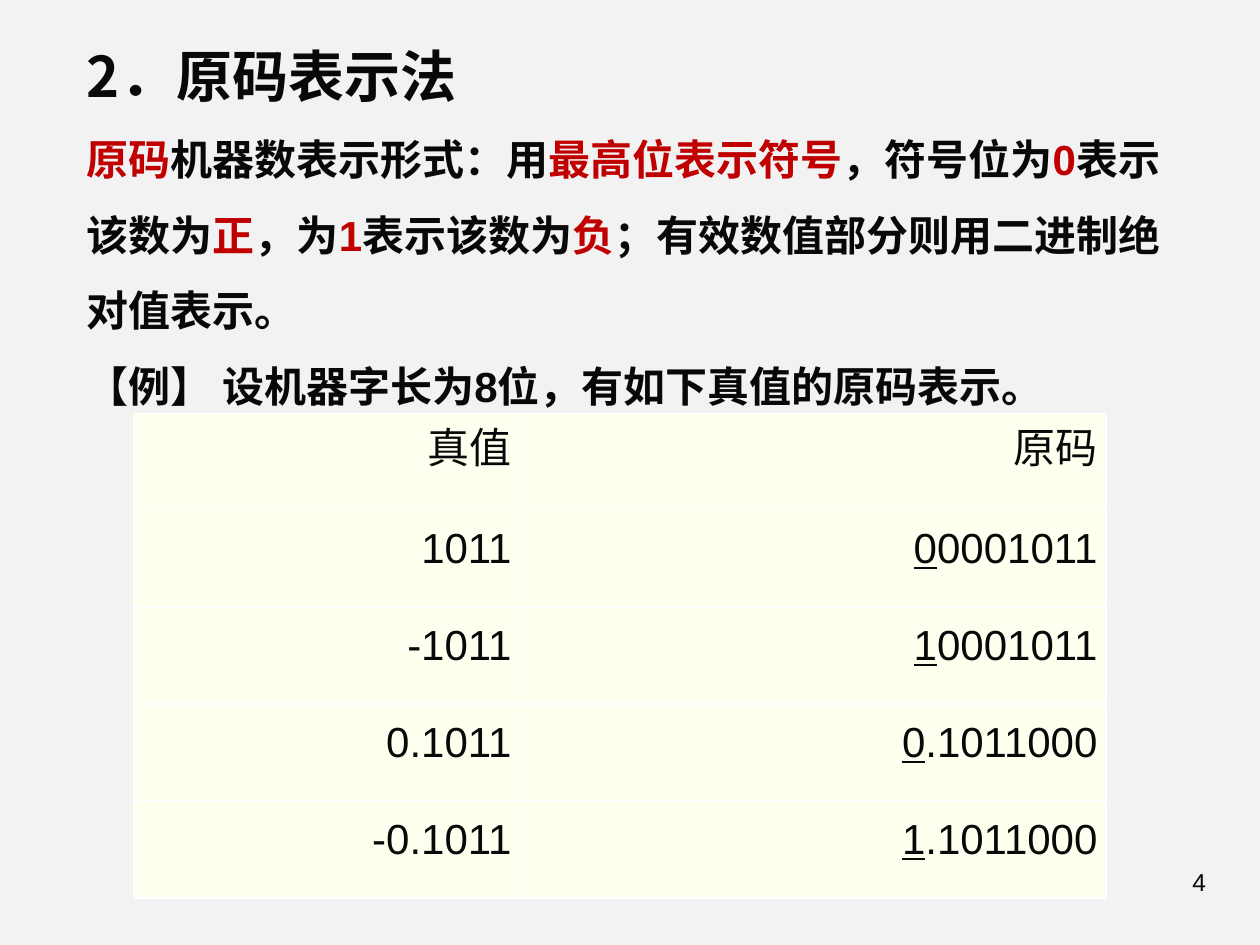
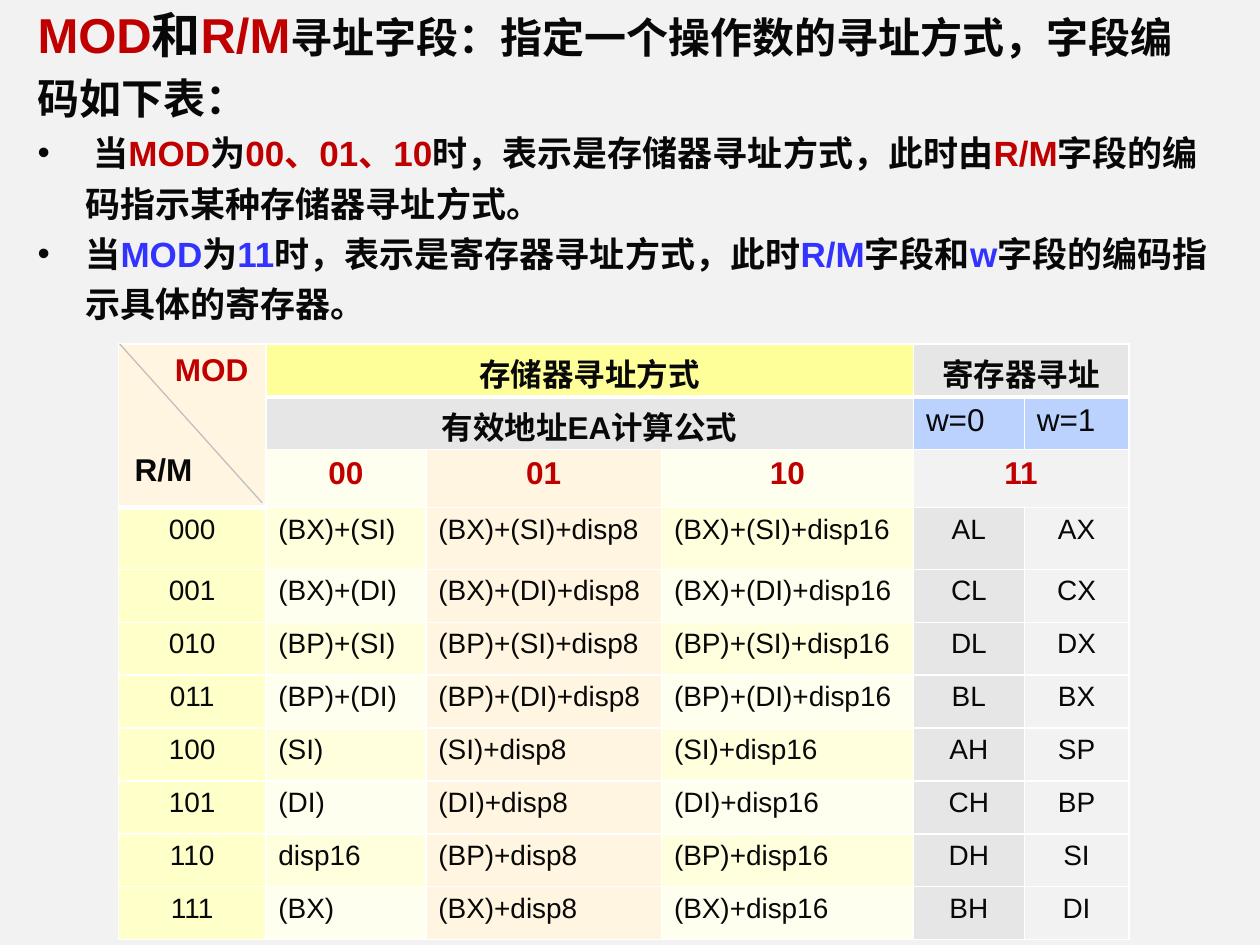
from lxml.etree import SubElement
from pptx import Presentation
from pptx.dml.color import RGBColor
from pptx.enum.shapes import MSO_CONNECTOR
from pptx.enum.text import MSO_ANCHOR, MSO_AUTO_SIZE, PP_ALIGN
from pptx.oxml.ns import qn
from pptx.util import Inches, Pt

LATIN, CHINESE = "Arial", "Noto Sans CJK SC"
INK, RED, BLUE, WHITE = "080808", "C00000", "3333FF", "FFFFFF"
PAGE, GREY, CREAM, IVORY = "F2F2F2", "E6E6E6", "FFF5E0", "FFFFEF"
PALE_YELLOW, ROW_YELLOW, BRIGHT_YELLOW, SKY = "FFFFDE", "FFFFCA", "FFFF99", "BBD2FF"
LEFT, CENTER, RIGHT = PP_ALIGN.LEFT, PP_ALIGN.CENTER, PP_ALIGN.RIGHT


def color(value):
    """Turn a hex string into a colour."""
    return RGBColor.from_string(value)


def add_span(para, text, size=18, ink=INK, bold=False, underline=False, font=LATIN):
    """Append one formatted run to a paragraph."""
    span = para.add_run()
    span.text = text
    span.font.name = font
    span.font.size = Pt(size)
    span.font.bold = bold
    span.font.underline = underline
    span.font.color.rgb = color(ink)
    SubElement(span.font._element, qn("a:ea"), typeface=CHINESE)


def set_indent(para, left, first):
    """Set the left margin and first-line indent in inches."""
    properties = para._p.get_or_add_pPr()
    properties.set("marL", str(Inches(left)))
    properties.set("indent", str(Inches(first)))
    return properties


def add_bullet(para):
    """Give a paragraph a hanging round bullet."""
    properties = set_indent(para, 0.38, -0.38)
    SubElement(properties, qn("a:buFont"), typeface=LATIN)
    SubElement(properties, qn("a:buChar"), char="•")


def write(frame, paragraphs, align=LEFT, spacing=None, bullets=(), **style):
    """Fill a frame with paragraphs made of (text, overrides) spans."""
    for index, spans in enumerate(paragraphs):
        para = frame.paragraphs[0] if index == 0 else frame.add_paragraph()
        para.alignment = align
        if spacing:
            para.line_spacing = spacing
        if index in bullets:
            add_bullet(para)
        for text, overrides in spans:
            add_span(para, text, **{**style, **overrides})


def add_text(page, left, top, width, height, paragraphs, **style):
    """Add a wrapping text box."""
    box = page.shapes.add_textbox(Inches(left), Inches(top), Inches(width), Inches(height))
    box.text_frame.word_wrap = True
    write(box.text_frame, paragraphs, **style)


def set_title(page, left, top, width, height, text, **style):
    """Place and format the title placeholder."""
    title = page.shapes.title
    title.left, title.top = Inches(left), Inches(top)
    title.width, title.height = Inches(width), Inches(height)
    title.text_frame.auto_size = MSO_AUTO_SIZE.NONE
    title.text_frame.vertical_anchor = MSO_ANCHOR.TOP
    write(title.text_frame, [plain(text)], **style)


def plain(text, **overrides):
    """Make a paragraph of one span."""
    return [(text, overrides)]


def marked(text, ink):
    """Colour the parts of a text that stand between bars."""
    parts = enumerate(text.split("|"))
    return [(part, {"ink": ink} if index % 2 else {}) for index, part in parts if part]


def add_grid(page, left, top, widths, heights):
    """Add a table without banding and return it."""
    shape = page.shapes.add_table(
        len(heights), len(widths), Inches(left), Inches(top),
        Inches(sum(widths)), Inches(sum(heights)))
    table = shape.table
    table.first_row = table.horz_banding = False
    for column, width in zip(table.columns, widths):
        column.width = Inches(width)
    for row, height in zip(table.rows, heights):
        row.height = Inches(height)
    return table


def style_cell(cell, fill, bottom=1):
    """Give a cell white borders and a solid fill."""
    properties = cell._tc.get_or_add_tcPr()
    for side, width in (("L", 1), ("R", 1), ("T", 1), ("B", bottom)):
        line = SubElement(properties, qn("a:ln" + side), w=str(Pt(width)))
        solid = SubElement(line, qn("a:solidFill"))
        SubElement(solid, qn("a:srgbClr"), val=WHITE)
    cell.fill.solid()
    cell.fill.fore_color.rgb = color(fill)


def fill_cells(table, row, column, text, fill, rows=1, columns=1, bottom=1, **style):
    """Style a block of cells, merge it and write its text."""
    for r in range(row, row + rows):
        for c in range(column, column + columns):
            style_cell(table.cell(r, c), fill, bottom)
    cell = table.cell(row, column)
    if rows * columns > 1:
        cell.merge(table.cell(row + rows - 1, column + columns - 1))
    if text:
        write(cell.text_frame, [plain(text)], **style)


def add_line(page, start, end, ink, width):
    """Draw a straight line without shadow."""
    line = page.shapes.add_connector(
        MSO_CONNECTOR.STRAIGHT, *(Inches(value) for value in (*start, *end)))
    line.line.color.rgb = color(ink)
    line.line.width = Pt(width)
    SubElement(line._element.spPr, qn("a:effectLst"))


def add_code_table(page):
    """Add the table of true values and their sign-magnitude codes."""
    rows = [
        ("真值", "", "原码"),
        ("1011", "0", "0001011"),
        ("-1011", "1", "0001011"),
        ("0.1011", "0", ".1011000"),
        ("-0.1011", "1", ".1011000"),
    ]
    table = add_grid(page, 1.06, 3.28, [3.07, 4.65], [0.77] * len(rows))
    for row, (value, sign, magnitude) in enumerate(rows):
        code = plain(sign, underline=True) if sign else []
        for column, spans in enumerate((plain(value), code + plain(magnitude))):
            cell = table.cell(row, column)
            style_cell(cell, IVORY)
            cell.margin_left = cell.margin_right = Inches(0.07)
            cell.margin_top = cell.margin_bottom = 0
            cell.vertical_anchor = MSO_ANCHOR.MIDDLE
            write(cell.text_frame, [spans], align=RIGHT, spacing=Pt(15.6), size=24)
            set_indent(cell.text_frame.paragraphs[0], 0, 0.3)


def add_addressing_table(page):
    """Add the table of MOD and R/M encodings."""
    bases = ["(BX)+(SI)", "(BX)+(DI)", "(BP)+(SI)", "(BP)+(DI)", "(SI)", "(DI)", "(BP)", "(BX)"]
    byte_registers = ["AL", "CL", "DL", "BL", "AH", "CH", "DH", "BH"]
    word_registers = ["AX", "CX", "DX", "BX", "SP", "BP", "SI", "DI"]
    table = add_grid(page, 0.94, 2.73, [1.17, 1.27, 1.87, 2, 0.88, 0.83],
                     [0.42, 0.42, 0.46, 0.49] + [0.42] * 7)
    heading = {"align": CENTER, "bold": True}

    fill_cells(table, 0, 0, "", CREAM, rows=3, bottom=3)
    fill_cells(table, 0, 1, "存储器寻址方式", BRIGHT_YELLOW, columns=3, bottom=3, **heading)
    fill_cells(table, 0, 4, "寄存器寻址", GREY, columns=2, bottom=3, **heading)
    fill_cells(table, 1, 1, "有效地址EA计算公式", GREY, columns=3, **heading)
    fill_cells(table, 1, 4, "w=0", SKY)
    fill_cells(table, 1, 5, "w=1", SKY)
    for column, (mode, fill) in enumerate(zip(("00", "01", "10"), (IVORY, CREAM, IVORY)), 1):
        fill_cells(table, 2, column, mode, fill, ink=RED, **heading)
    fill_cells(table, 2, 4, "11", PAGE, columns=2, ink=RED, **heading)

    for code, base in enumerate(bases):
        band = IVORY if code % 2 else PALE_YELLOW
        direct = "disp16" if base == "(BP)" else base
        cells = [
            (f"{code:03b}", ROW_YELLOW, CENTER),
            (direct, band, LEFT),
            (base + "+disp8", CREAM, LEFT),
            (base + "+disp16", band, LEFT),
            (byte_registers[code], GREY, CENTER),
            (word_registers[code], PAGE, CENTER),
        ]
        for column, (text, fill, align) in enumerate(cells):
            fill_cells(table, code + 3, column, text, fill, align=align, size=16)


def build_sign_magnitude(deck):
    """Build the slide on sign-magnitude representation."""
    page = deck.slides.add_slide(deck.slide_layouts[5])
    set_title(page, 0.59, 0.28, 8.98, 0.63, "2．原码表示法", size=32, bold=True, font=CHINESE)
    add_text(page, 0.59, 0.81, 8.98, 2.5, [
        marked("|原码|机器数表示形式：用|最高位表示符号|，符号位为|0|表示该数为|正|，为|1|"
               "表示该数为|负|；有效数值部分则用二进制绝对值表示。", RED),
        plain("【例】 设机器字长为8位，有如下真值的原码表示。"),
    ], spacing=1.5, size=24, bold=True)
    add_code_table(page)
    add_text(page, 7.17, 6.83, 2.5, 0.52, [plain("4")], align=RIGHT, size=14)


def build_addressing(deck):
    """Build the slide on the MOD and R/M fields."""
    page = deck.slides.add_slide(deck.slide_layouts[6])
    add_addressing_table(page)
    add_text(page, 0.97, 3.52, 0.89, 0.4, [plain("R/M")], bold=True)
    add_text(page, 1.29, 2.73, 0.86, 0.4, [plain("MOD")], bold=True, ink=RED)
    add_line(page, (0.95, 2.73), (2.08, 3.99), "C0C0C0", 0.75)
    lead = [(text, {**style, "size": 28}) for text, style in marked("|MOD|和|R/M|", RED)]
    add_text(page, 0.2, -0.11, 9.51, 2.77, [
        lead + plain("寻址字段：指定一个操作数的寻址方式，字段编码如下表：", size=24),
        marked(" 当|MOD|为|00、01、10|时，表示是存储器寻址方式，此时由|R/M|"
               "字段的编码指示某种存储器寻址方式。", RED),
        marked("当|MOD|为|11|时，表示是寄存器寻址方式，此时|R/M|字段和|w|"
               "字段的编码指示具体的寄存器。", BLUE),
    ], spacing=1.2, bullets=(1, 2), size=20, bold=True)


def main():
    """Build and save the deck."""
    deck = Presentation()
    deck.slide_width, deck.slide_height = Inches(10), Inches(7.5)
    background = deck.slide_master.background.fill
    background.solid()
    background.fore_color.rgb = color(PAGE)
    build_sign_magnitude(deck)
    build_addressing(deck)
    deck.save("out.pptx")


if __name__ == "__main__":
    main()
